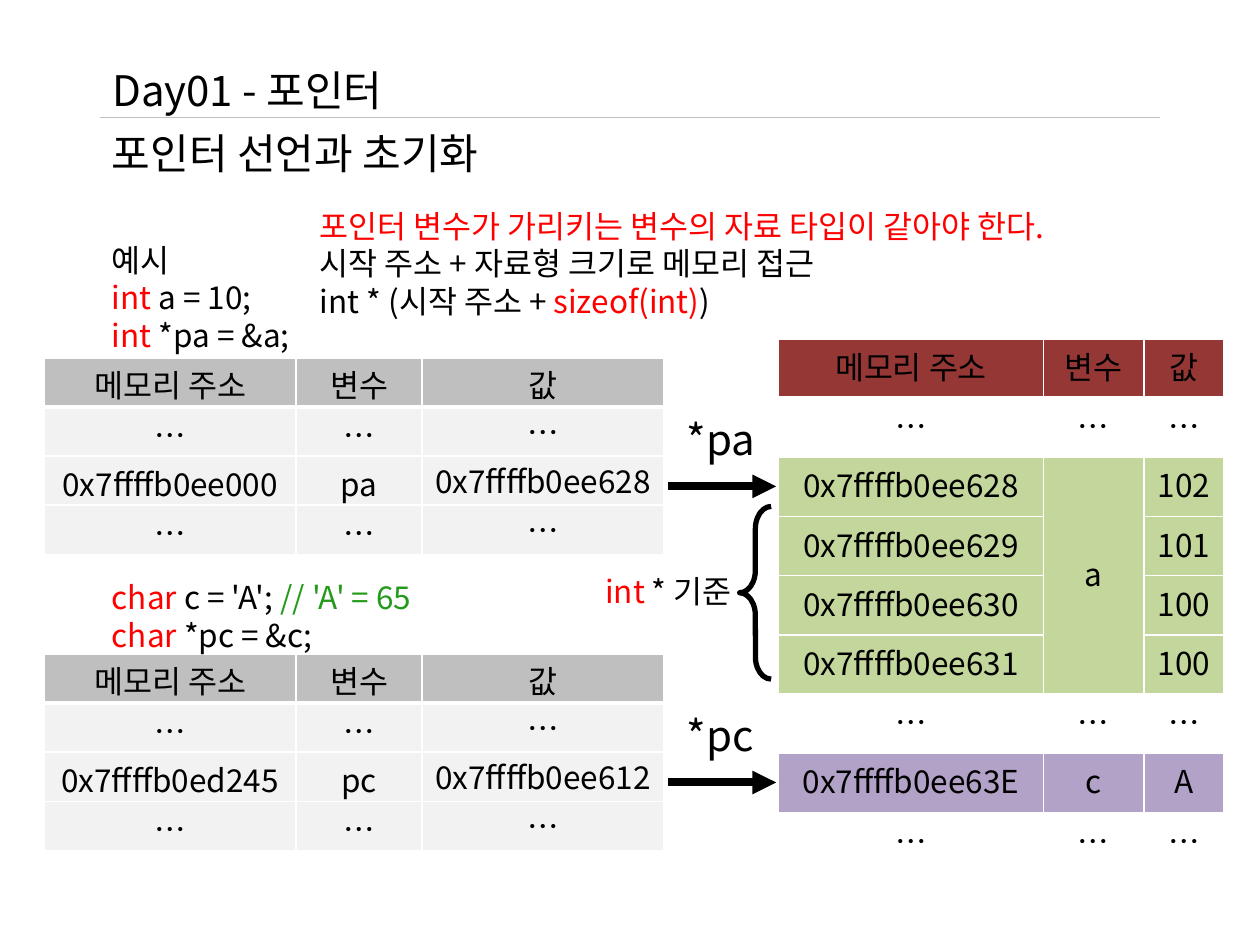
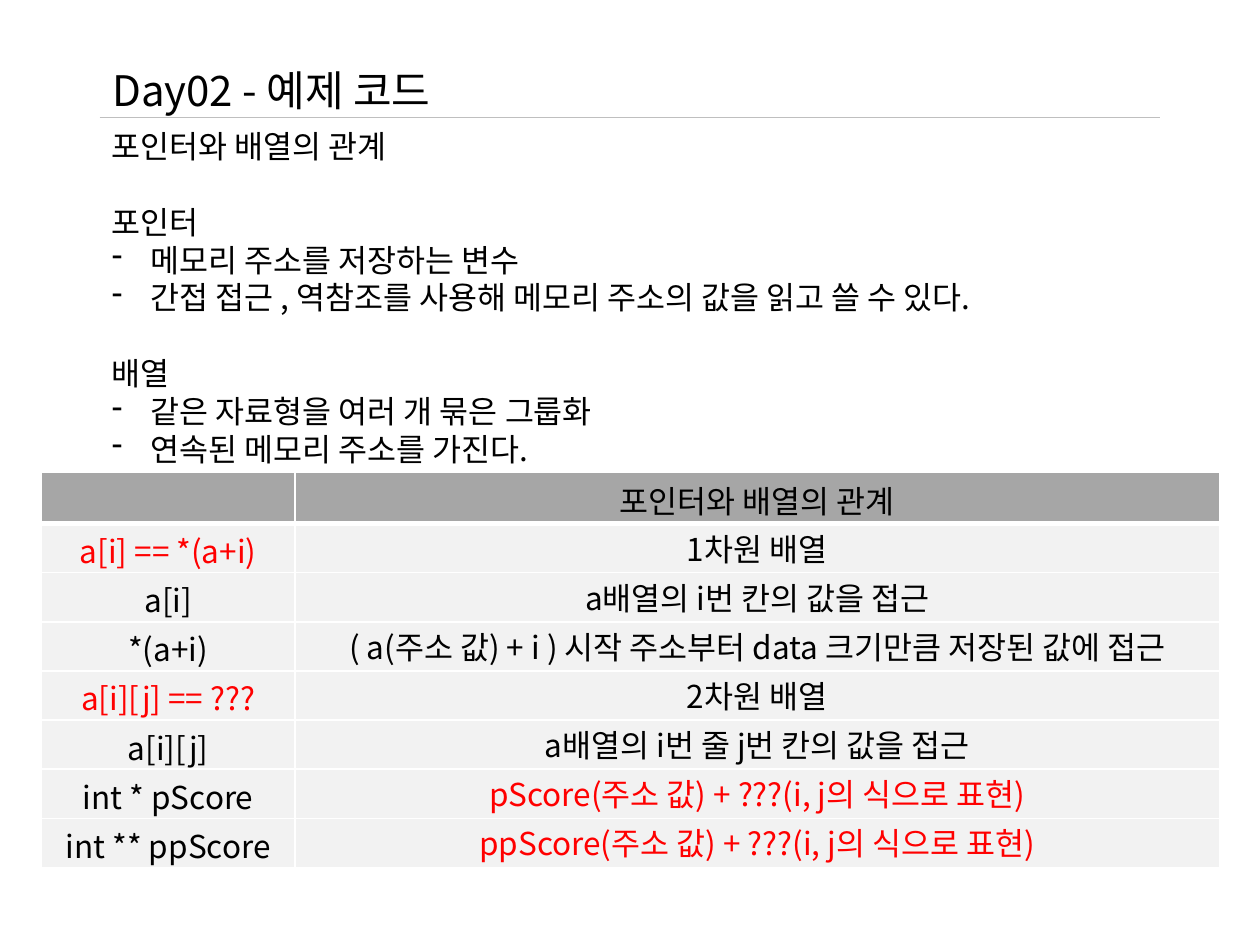
from dataclasses import dataclass
from typing import NamedTuple

from lxml.etree import SubElement
from pptx import Presentation
from pptx.dml.color import RGBColor
from pptx.enum.shapes import MSO_CONNECTOR, MSO_SHAPE
from pptx.enum.text import MSO_ANCHOR, MSO_AUTO_SIZE, PP_ALIGN
from pptx.oxml import parse_xml
from pptx.oxml.ns import nsdecls, qn
from pptx.util import Inches, Pt

FONT = "Noto Sans CJK KR"
INK, RED, GREEN, WHITE = "000000", "FF0000", "239A1A", "FFFFFF"
RULE, HEAD, ROW = "BFBFBF", "BFBFBF", "F2F2F2"
ROSE, LIME, LILAC, GREY = "953735", "C3D69B", "B3A2C7", "A6A6A6"
HALF = 50
DOTS = ("…", "…", "…")
LABELS = ("메모리 주소", "변수", "값")


class Run(NamedTuple):
    text: str
    color: str = INK


class Fill(NamedTuple):
    color: str
    alpha: int = 100


class Box(NamedTuple):
    left: float
    top: float
    width: float
    height: float

    def inches(self) -> tuple:
        return tuple(Inches(value) for value in self)


class Pads(NamedTuple):
    top: float
    bottom: float
    side: float = 0.1


@dataclass
class Para:
    runs: tuple
    size: int = 18
    gap: float = 0
    bullet: bool = False


@dataclass
class Grid:
    left: float
    top: float
    widths: tuple
    height: float
    rows: tuple
    fills: tuple
    pads: Pads
    last: Pads


@dataclass
class Link:
    name: str
    var: str
    addr: str
    value: str
    top: float


def rgb(color: str) -> RGBColor:
    return RGBColor.from_string(color)


def setup(target, values: dict) -> None:
    for name, value in values.items():
        setattr(target, name, value)


def write(para, runs: tuple, size: int, pitch: float) -> None:
    para.line_spacing = Pt(pitch)
    for item in runs:
        run = para.add_run()
        run.text = item.text
        setup(run.font, {"size": Pt(size), "name": FONT, "bold": False})
        run.font.color.rgb = rgb(item.color)
        east = SubElement(run.font._element, qn("a:ea"))
        east.set("typeface", FONT)


def fill_text(shape, paras: tuple, align=PP_ALIGN.LEFT) -> None:
    frame = shape.text_frame
    setup(frame, {
        "word_wrap": True,
        "auto_size": MSO_AUTO_SIZE.NONE,
        "vertical_anchor": MSO_ANCHOR.TOP,
        "margin_left": Inches(0.1),
        "margin_right": Inches(0.1),
        "margin_top": Inches(0.08),
        "margin_bottom": Inches(0.02),
    })
    for index, item in enumerate(paras):
        para = frame.add_paragraph() if index else frame.paragraphs[0]
        if item.bullet:
            props = para._p.get_or_add_pPr()
            props.set("marL", str(Inches(0.31)))
            props.set("indent", str(-Inches(0.31)))
            SubElement(props, qn("a:buChar")).set("char", "-")
        setup(para, {"alignment": align, "space_before": Pt(item.gap)})
        write(para, item.runs, item.size, item.size * 1.2)


def add_text(slide, box: Box, paras: tuple, align=PP_ALIGN.LEFT) -> None:
    fill_text(slide.shapes.add_textbox(*box.inches()), paras, align)


def add_line(slide, start: tuple, end: tuple, color: str, width: float,
             arrow: bool = False) -> None:
    points = [Inches(value) for value in start + end]
    line = slide.shapes.add_connector(MSO_CONNECTOR.STRAIGHT, *points)
    line.line.color.rgb = rgb(color)
    line.line.width = Pt(width)
    if arrow:
        SubElement(line.line._get_or_add_ln(), qn("a:tailEnd")).set("type", "triangle")
    SubElement(line._element.spPr, qn("a:effectLst"))


def paint(cell, fill: Fill | None) -> None:
    if fill is None:
        cell.fill.background()
        return
    cell.fill.solid()
    cell.fill.fore_color.rgb = rgb(fill.color)
    if fill.alpha < 100:
        tint = cell._tc.tcPr.find(".//" + qn("a:srgbClr"))
        SubElement(tint, qn("a:alpha")).set("val", str(fill.alpha * 1000))


def edge(cell, row: int) -> None:
    props = cell._tc.get_or_add_tcPr()
    widths = {"L": 1, "R": 1, "T": 3 if row == 1 else 1, "B": 3 if row == 0 else 1}
    for index, (side, width) in enumerate(widths.items()):
        props.insert(index, parse_xml(
            f'<a:ln{side} {nsdecls("a")} w="{Pt(width)}"><a:solidFill>'
            f'<a:srgbClr val="{WHITE}"/></a:solidFill></a:ln{side}>'))


def add_grid(slide, grid: Grid):
    count = len(grid.rows)
    box = Box(grid.left, grid.top, sum(grid.widths), grid.height * count)
    table = slide.shapes.add_table(count, len(grid.widths), *box.inches()).table
    table.horz_banding = False
    for column, width in zip(table.columns, grid.widths):
        column.width = Inches(width)
    for row, (texts, fill) in enumerate(zip(grid.rows, grid.fills)):
        table.rows[row].height = Inches(grid.height)
        for col, item in enumerate(texts):
            cell = table.cell(row, col)
            final = row > 0 and col == len(texts) - 1
            pads = grid.last if final else grid.pads
            setup(cell, {
                "vertical_anchor": MSO_ANCHOR.MIDDLE,
                "margin_left": Inches(pads.side),
                "margin_right": Inches(pads.side),
                "margin_top": Inches(pads.top),
                "margin_bottom": Inches(pads.bottom),
            })
            edge(cell, row)
            paint(cell, fill)
            para = cell.text_frame.paragraphs[0]
            para.alignment = PP_ALIGN.CENTER
            if item:
                run = item if isinstance(item, Run) else Run(item)
                write(para, (run,), 18, 20.8)
    return table


def add_page(deck, title: str):
    slide = deck.slides.add_slide(deck.slide_layouts[5])
    shape = slide.shapes.title
    names = ("left", "top", "width", "height")
    setup(shape, dict(zip(names, Box(0.79, 0.43, 8.43, 0.5).inches())))
    fill_text(shape, (Para((Run(title),), 24),))
    add_line(slide, (0.79, 0.93), (9.21, 0.93), RULE, 0.75)
    return slide


TIGHT, SLIM = Pads(0.1, 0), Pads(0.08, 0.02, 0.06)


def add_link(slide, link: Link) -> None:
    add_grid(slide, Grid(
        0.35, link.top, (2, 1, 1.92), 0.39,
        (LABELS, DOTS, (link.addr, link.var, link.value), DOTS),
        (Fill(HEAD, HALF),) + (Fill(ROW, HALF),) * 3, TIGHT, SLIM))
    level = link.top + 1.02
    add_line(slide, (5.3, level), (6.16, level), INK, 4.5, True)
    add_text(slide, Box(5.35, link.top + 0.36, 0.78, 0.5),
             (Para((Run(link.name),), 24),))


def memory_page(deck) -> None:
    slide = add_page(deck, "Day01 - 포인터")
    for link in (
        Link("*pa", "pa", "0x7ffffb0ee000", "0x7ffffb0ee628", 2.84),
        Link("*pc", "pc", "0x7ffffb0ed245", "0x7ffffb0ee612", 5.19),
    ):
        add_link(slide, link)

    values = ("102", "101", "100", "100")
    block = tuple((f"0x7ffffb0ee{628 + step}", "" if step else "a", value)
                  for step, value in enumerate(values))
    table = add_grid(slide, Grid(
        6.18, 2.69, (2.1, 0.8, 0.63), 0.47,
        (LABELS, DOTS, *block, DOTS, ("0x7ffffb0ee63E", "c", "A"), DOTS),
        (Fill(ROSE, HALF), None) + (Fill(LIME),) * 4 + (None, Fill(LILAC), None),
        Pads(0.05, 0.02), Pads(0.05, 0.02, 0.06)))
    table.cell(2, 1).merge(table.cell(5, 1))

    brace = slide.shapes.add_shape(
        MSO_SHAPE.LEFT_BRACE, *Box(5.87, 4.02, 0.25, 1.37).inches())
    brace.shadow.inherit = False
    brace.adjustments[0] = 0.71
    brace.fill.background()
    brace.line.color.rgb = rgb(INK)
    brace.line.width = Pt(3)

    add_text(slide, Box(4.63, 4.46, 1.35, 0.4),
             (Para((Run("int", RED), Run(" * 기준"))),), PP_ALIGN.CENTER)
    add_text(slide, Box(2.44, 1.56, 6.66, 1.01), (
        Para((Run("포인터 변수가 가리키는 변수의 자료 타입이 같아야 한다.", RED),)),
        Para((Run("시작 주소 + 자료형 크기로 메모리 접근"),)),
        Para((Run("int * (시작 주소 + "), Run("sizeof(int)", RED), Run(")"))),
    ))
    add_text(slide, Box(0.79, 0.93, 8.43, 4.44), (
        Para((Run("포인터 선언과 초기화"),), 24),
        Para((Run("예시"),), gap=36),
        Para((Run("int", RED), Run(" a = 10;"))),
        Para((Run("int", RED), Run(" *pa = &a;"))),
        Para((Run("char", RED), Run(" c = 'A'; "), Run("// 'A' = 65", GREEN)), gap=128),
        Para((Run("char", RED), Run(" *pc = &c;"))),
    ))


def array_page(deck) -> None:
    slide = add_page(deck, "Day02 - 예제 코드")
    topics = {
        "포인터": ("메모리 주소를 저장하는 변수",
                "간접 접근 , 역참조를 사용해 메모리 주소의 값을 읽고 쓸 수 있다."),
        "배열": ("같은 자료형을 여러 개 묶은 그룹화", "연속된 메모리 주소를 가진다."),
    }
    heading = "포인터와 배열의 관계"
    paras = [Para((Run(heading),))]
    for topic, points in topics.items():
        paras.append(Para((Run(topic),), gap=21.6))
        paras += [Para((Run(point),), bullet=True) for point in points]
    add_text(slide, Box(0.79, 0.93, 8.43, 2.83), tuple(paras))

    rows = (
        ("", heading),
        (Run("a[i] == *(a+i)", RED), "1차원 배열"),
        ("a[i]", "a배열의 i번 칸의 값을 접근"),
        ("*(a+i)", "( a(주소 값) + i ) 시작 주소부터 data 크기만큼 저장된 값에 접근"),
        (Run("a[i][j] == ???", RED), "2차원 배열"),
        ("a[i][j]", "a배열의 i번 줄 j번 칸의 값을 접근"),
        ("int * pScore", Run("pScore(주소 값) + ???(i, j의 식으로 표현)", RED)),
        ("int ** ppScore", Run("ppScore(주소 값) + ???(i, j의 식으로 표현)", RED)),
    )
    add_grid(slide, Grid(
        0.33, 3.75, (2.01, 7.34), 0.39, rows,
        (Fill(GREY, HALF),) + (Fill(ROW, HALF),) * (len(rows) - 1), TIGHT, SLIM))


def main() -> None:
    deck = Presentation()
    setup(deck, {"slide_width": Inches(10), "slide_height": Inches(7.5)})
    memory_page(deck)
    array_page(deck)
    deck.save("out.pptx")


if __name__ == "__main__":
    main()
